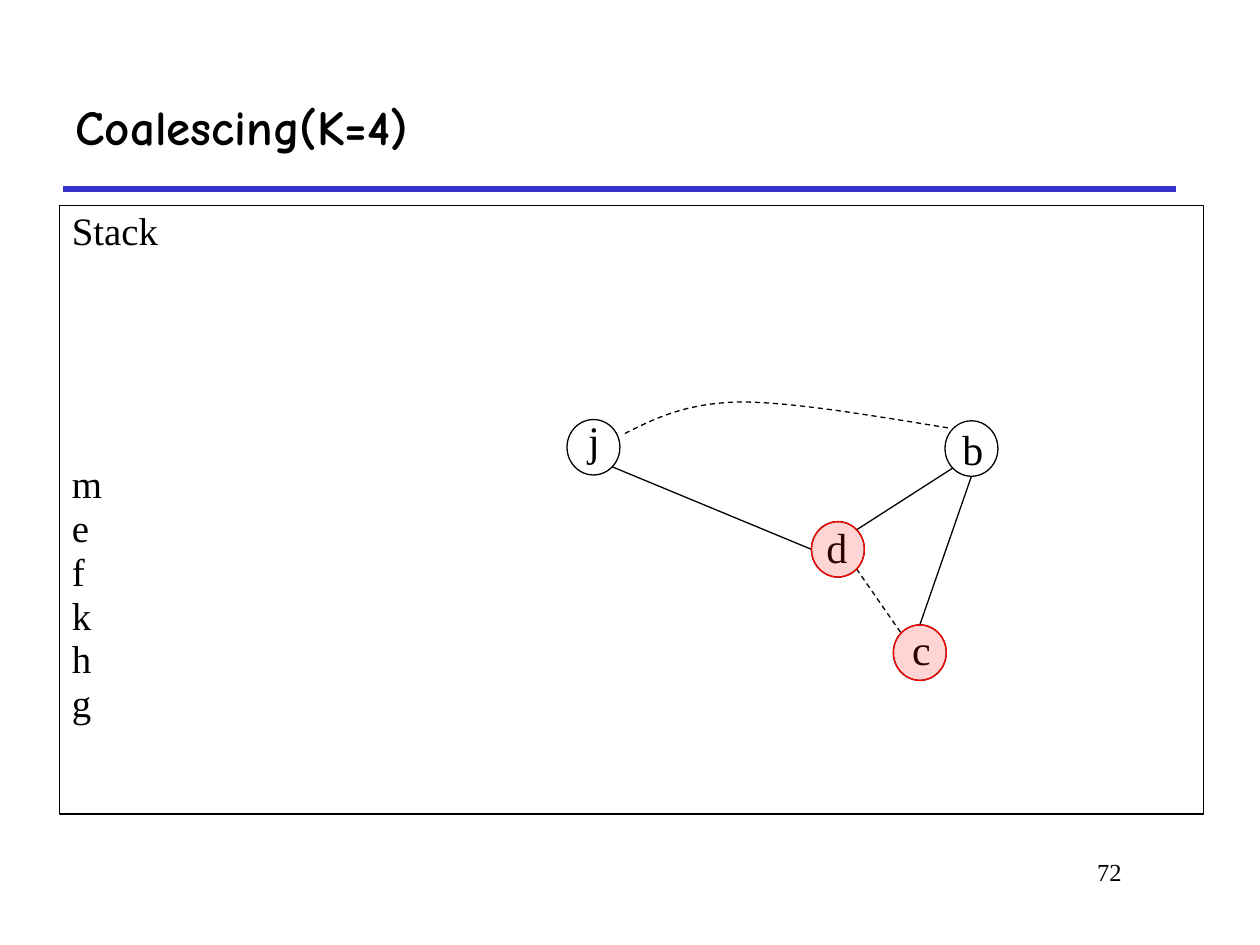
from dataclasses import dataclass

from lxml import etree
from pptx import Presentation
from pptx.dml.color import RGBColor
from pptx.enum import dml, shapes, text
from pptx.oxml.ns import qn
from pptx.util import Inches, Pt


@dataclass(frozen=True)
class Theme:
    """Colours, fonts and sizes of the slide."""
    ink: RGBColor = RGBColor(0, 0, 0)
    rule: RGBColor = RGBColor(0x33, 0x33, 0xCC)
    mark: RGBColor = RGBColor(0xFF, 0, 0)
    mark_alpha: int = 17000
    heading_font: str = "Comic Neue"
    body_font: str = "Times New Roman"
    title_size: float = 28
    stack_size: float = 22.2
    node_size: float = 24
    page_size: float = 14
    thin: float = 0.75
    thick: float = 3


THEME = Theme()
NODE_W, NODE_H = 0.42, 0.44
NODES = {"b": (3, 0.15), "j": (0, 0.14), "c": (2.59, 1.77), "d": (1.94, 0.95)}
LABELS = {"b": (0.04, -0.03, 0.36), "j": (0.07, -0.09, 0.29),
          "c": (0.05, -0.06, 0.35), "d": (0.02, -0.05, 0.36)}
DIAGONAL = 0.7
EDGES = [
    ("d", (DIAGONAL, -DIAGONAL), "b", (-DIAGONAL, DIAGONAL), False),
    ("b", (0, 1), "c", (0, -1), False),
    ("j", (DIAGONAL, DIAGONAL), "d", (-1, 0), False),
    ("d", (DIAGONAL, DIAGONAL), "c", (-DIAGONAL, -DIAGONAL), True),
]
MOVE_CURVES = [
    [(0.46, 0.25), (0.7, 0.13), (0.94, 0.01), (1.37, 0)],
    [(1.37, 0), (1.8, 0), (2.43, 0.11), (3.05, 0.21)],
]
COALESCED = ("d", "c")
STACK = ["m", "e", "f", "k", "h", "g"]
STACK_GAP = 121


def place(item, box):
    """Move an item to a box given in inches."""
    item.left, item.top, item.width, item.height = map(Inches, box)


def style_font(paragraph, name, size, bold=False):
    """Set the font of a whole paragraph."""
    font = paragraph.font
    font.name, font.size, font.bold = name, Pt(size), bold
    font.color.rgb = THEME.ink


def style_line(line, color=THEME.ink, width=THEME.thin, dashed=False):
    """Set colour, width and dash of a line."""
    line.color.rgb = color
    line.width = Pt(width)
    if dashed:
        line.dash_style = dml.MSO_LINE.DASH


def add_line(slide, start, end, **style):
    """Draw a straight line without a shadow."""
    line = slide.shapes.add_connector(
        shapes.MSO_CONNECTOR.STRAIGHT, *map(Inches, (*start, *end)))
    style_line(line.line, **style)
    etree.SubElement(line._element.spPr, qn("a:effectLst"))


def add_label(slide, box, words, size, align=text.PP_ALIGN.LEFT, wrap=False):
    """Write one line of body text in a box."""
    label = slide.shapes.add_textbox(*map(Inches, box))
    frame = label.text_frame
    frame.word_wrap = wrap
    paragraph = frame.paragraphs[0]
    paragraph.text, paragraph.alignment = words, align
    style_font(paragraph, THEME.body_font, size)


def add_title(slide, box):
    """Fill the title and draw the rule under it."""
    left, top, width, height = box
    title = slide.shapes.title
    place(title, box)
    frame = title.text_frame
    frame.auto_size = text.MSO_AUTO_SIZE.NONE
    frame.vertical_anchor = text.MSO_ANCHOR.MIDDLE
    heading = frame.paragraphs[0]
    heading.text, heading.alignment = "Coalescing(K=4)", text.PP_ALIGN.LEFT
    style_font(heading, THEME.heading_font, THEME.title_size, bold=True)
    bottom = top + height
    add_line(slide, (left, bottom), (left + width, bottom),
             color=THEME.rule, width=THEME.thick)


def add_stack(slide, box):
    """List the stack in the framed body."""
    body = slide.placeholders[1]
    place(body, box)
    style_line(body.line)
    frame = body.text_frame
    frame.auto_size = text.MSO_AUTO_SIZE.NONE
    frame.text = "\n".join(["Stack", *STACK])
    for index, entry in enumerate(frame.paragraphs):
        properties = entry._p.get_or_add_pPr()
        properties.set("marL", "0")
        properties.set("indent", "0")
        entry.line_spacing = 0.9
        entry.space_before = Pt({0: 0, 1: STACK_GAP}.get(index, 1))
        etree.SubElement(properties, qn("a:buNone"))
        style_font(entry, THEME.body_font, THEME.stack_size)


def add_node(slide, x, y, marked=False):
    """Draw a plain node or the tint of a coalesced one."""
    node = slide.shapes.add_shape(
        shapes.MSO_SHAPE.OVAL, *map(Inches, (x, y, NODE_W, NODE_H)))
    node.shadow.inherit = False
    style_line(node.line, THEME.mark if marked else THEME.ink)
    if not marked:
        node.fill.background()
        return
    node.fill.solid()
    node.fill.fore_color.rgb = THEME.mark
    color = node._element.spPr.find(qn("a:solidFill"))[0]
    etree.SubElement(color, qn("a:alpha"), val=str(THEME.mark_alpha))


def bezier(points, t):
    """Return the point at t on a cubic curve."""
    weights = ((1 - t) ** 3, 3 * t * (1 - t) ** 2, 3 * t * t * (1 - t), t ** 3)
    return tuple(sum(w * p[axis] for w, p in zip(weights, points))
                 for axis in (0, 1))


def add_move_curve(slide, left, top, steps=16):
    """Draw the dashed curve between j and b."""
    route = [bezier(curve, step / steps)
             for curve in MOVE_CURVES for step in range(steps + 1)]
    route = [(Inches(left + x), Inches(top + y)) for x, y in route]
    builder = slide.shapes.build_freeform(*route[0])
    builder.add_line_segments(route[1:], close=False)
    curve = builder.convert_to_shape()
    curve.shadow.inherit = False
    curve.fill.background()
    style_line(curve.line, dashed=True)


def add_graph(slide, box):
    """Draw the interference graph."""
    left, top = box[:2]
    corners = {name: (left + x, top + y) for name, (x, y) in NODES.items()}

    def rim(name, direction):
        """Return a point on the rim of a node."""
        x, y = corners[name]
        return (x + NODE_W / 2 * (1 + direction[0]),
                y + NODE_H / 2 * (1 + direction[1]))

    for name, (x, y) in corners.items():
        add_node(slide, x, y)
        dx, dy, width = LABELS[name]
        add_label(slide, (x + dx, y + dy, width, 0.5), name, THEME.node_size)
    for source, leave, target, arrive, dashed in EDGES:
        add_line(slide, rim(source, leave), rim(target, arrive), dashed=dashed)
    add_move_curve(slide, left, top)
    for name in COALESCED:
        add_node(slide, *corners[name], marked=True)


def main():
    """Build and save the slide."""
    deck = Presentation()
    deck.slide_width, deck.slide_height = Inches(10), Inches(7.5)
    slide = deck.slides.add_slide(deck.slide_layouts[1])
    add_title(slide, (0.5, 0.5, 8.83, 1))
    add_stack(slide, (0.47, 1.63, 9.08, 4.83))
    add_label(slide, (6.92, 6.75, 2.08, 0.5), "72", THEME.page_size,
              text.PP_ALIGN.RIGHT, wrap=True)
    add_graph(slide, (4.5, 3.19, 3.42, 2.21))
    deck.save("out.pptx")


if __name__ == "__main__":
    main()
